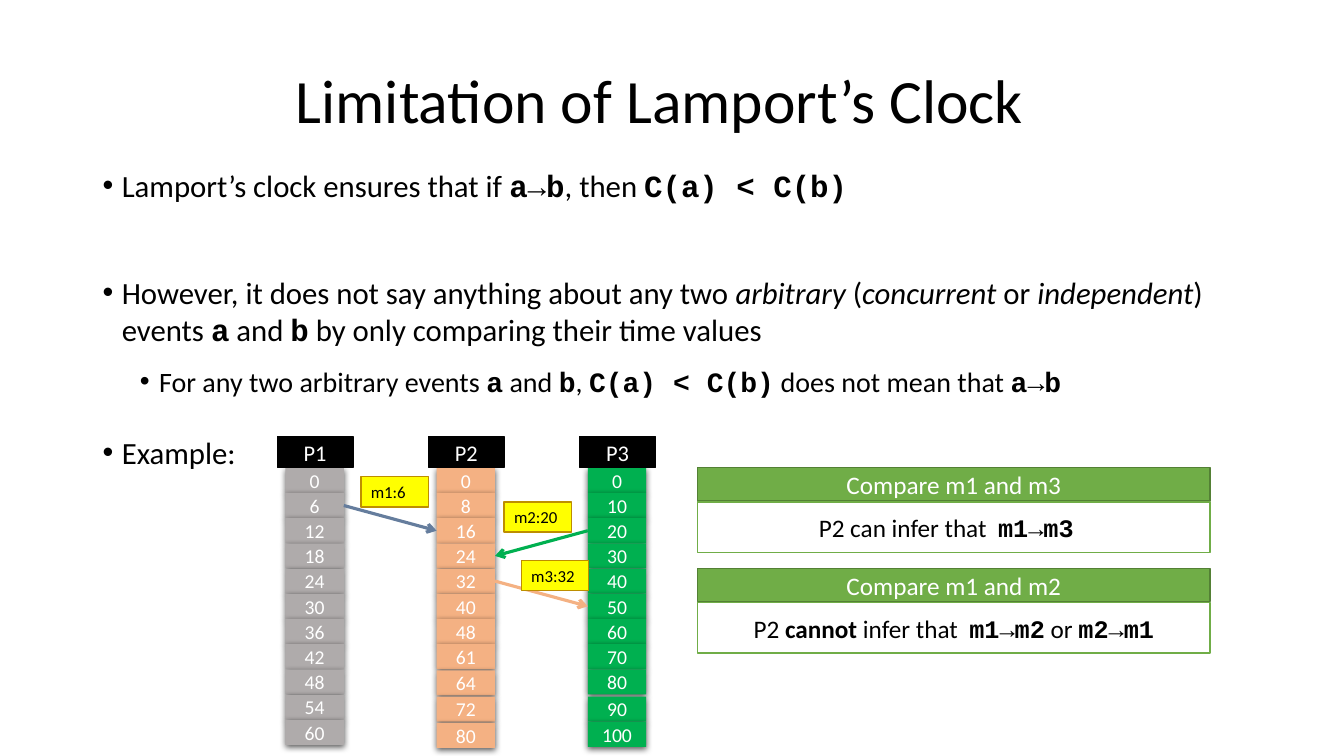
from dataclasses import dataclass, field

from lxml import etree
from pptx import Presentation, util as u
from pptx.dml.color import RGBColor
from pptx.enum import shapes, text
from pptx.oxml.ns import qn

COLORS = {
    "black": "000000", "white": "FFFFFF", "grey": "AFABAB", "orange": "F4B183",
    "green": "00B050", "blue": "657D9D", "yellow": "FFFF00", "gold": "BD8E00",
    "leaf": "70AD47", "moss": "538035",
}
CENTER, LEFT = text.PP_ALIGN.CENTER, text.PP_ALIGN.LEFT
MIDDLE, TOP = text.MSO_ANCHOR.MIDDLE, text.MSO_ANCHOR.TOP
ROWS, ROW_H, CELL_W, CELLS_TOP = 11, 0.25, 0.58, 4.64
FIRST_X, PITCH = 2.83, 1.5


@dataclass
class Process:
    name: str
    step: int
    color: str
    corrected: dict[int, int] = field(default_factory=dict)
    slips: dict[int, float] = field(default_factory=dict)


@dataclass
class Message:
    label: str
    color: str
    source: int
    target: int
    row: int
    label_at: tuple[float, float]


@dataclass
class Bullet:
    words: str
    size: int = 22
    indent: float = 0.19
    before: float = 6


@dataclass
class Comparison:
    heading: str
    finding: str
    top: float


PROCESSES = [
    Process("P1", 6, "grey"),
    Process("P2", 8, "orange", {7: 61}, {8: 0.01, 9: 0.02, 10: 0.03}),
    Process("P3", 10, "green", {}, {9: 0.02, 10: 0.02}),
]
MESSAGES = [
    Message("m1:6", "blue", 0, 1, 1, (3.58, 4.73)),
    Message("m2:20", "green", 2, 1, 2, (5, 4.98)),
    Message("m3:32", "orange", 1, 2, 4, (5.17, 5.56)),
]
BULLETS = [
    Bullet("Lamport’s clock ensures that if |`a→b|, then |`C(a) < C(b)"),
    Bullet("However, it does not say anything about any two |_arbitrary| (|_concurrent"
           "| or |_independent|) events |`a| and |`b| by only comparing their time values",
           before=44.4),
    Bullet("For any two arbitrary events |`a| and |`b|, |`C(a) < C(b)"
           "| does not mean that |`a→b", 20, 0.56),
    Bullet("Example:", before=19.2),
]
COMPARISONS = [
    Comparison("Compare m1 and m3", "P2 can infer that  |`m1→m3 ", 4.64),
    Comparison("Compare m1 and m2",
               "P2 |*cannot| infer that  |`m1→m2| or |`m2→m1", 5.64),
]


def rgb(name: str) -> RGBColor:
    return RGBColor.from_string(COLORS[name])


def write(p, words: str, *, size: float, color: str = "black", align=LEFT) -> None:
    p.alignment = align
    for part in words.split("|"):
        mark = part[0] if part[0] in "`*_" else ""
        r = p.add_run()
        r.text = part[len(mark):]
        r.font.name = "Courier New" if mark == "`" else "Calibri"
        r.font.size = u.Pt(size)
        r.font.bold = mark in ("`", "*")
        r.font.italic = mark == "_"
        r.font.color.rgb = rgb(color)


def text_box(s, x: float, y: float, w: float, h: float, anchor=TOP):
    tf = s.shapes.add_textbox(u.Inches(x), u.Inches(y), u.Inches(w), u.Inches(h)).text_frame
    tf.word_wrap = True
    tf.vertical_anchor = anchor
    return tf


def add_shadow(sp) -> None:
    effects = sp._element.spPr.find(qn("a:effectLst"))
    shadow = etree.SubElement(effects, qn("a:outerShdw"), blurRad=str(u.Pt(4.5)),
                              dist=str(u.Pt(1.5)), dir="5400000", rotWithShape="0")
    black = etree.SubElement(shadow, qn("a:srgbClr"), val=COLORS["black"])
    etree.SubElement(black, qn("a:alpha"), val="63000")


def box(s, x: float, y: float, w: float, h: float, words: str, *, fill: str,
        line: str = "", anchor=MIDDLE, **fmt):
    sp = s.shapes.add_shape(shapes.MSO_SHAPE.RECTANGLE, u.Inches(x), u.Inches(y),
                            u.Inches(w), u.Inches(h))
    sp.shadow.inherit = False
    sp.fill.solid()
    sp.fill.fore_color.rgb = rgb(fill)
    if line:
        sp.line.color.rgb = rgb(line)
        sp.line.width = u.Pt(1)
    else:
        sp.line.fill.background()
    sp.text_frame.vertical_anchor = anchor
    write(sp.text_frame.paragraphs[0], words, **fmt)
    return sp


def add_bullet(p, bullet: Bullet) -> None:
    p.space_before, p.space_after = u.Pt(bullet.before), u.Pt(6)
    pPr = p._p.get_or_add_pPr()
    pPr.set("marL", str(u.Inches(bullet.indent)))
    pPr.set("indent", str(u.Inches(-0.19)))
    etree.SubElement(pPr, qn("a:buFont"), typeface="Arial")
    etree.SubElement(pPr, qn("a:buChar"), char="•")
    write(p, bullet.words, size=bullet.size)


def add_clock(s, column: int, process: Process) -> None:
    x = FIRST_X + column * PITCH
    for row in range(ROWS):
        time = process.corrected.get(row, row * process.step)
        y = CELLS_TOP + row * ROW_H + process.slips.get(row, 0)
        add_shadow(box(s, x, y, CELL_W, ROW_H, str(time), fill=process.color,
                       size=14, color="white", align=CENTER))
    box(s, x - 0.08, 4.33, 0.75, 0.31, process.name, fill="black", line="black",
        size=16, color="white", align=CENTER)


def add_arrow(s, m: Message) -> None:
    rightward = m.target > m.source
    x1 = FIRST_X + m.source * PITCH + (CELL_W if rightward else 0)
    x2 = FIRST_X + m.target * PITCH + (0 if rightward else CELL_W)
    y = CELLS_TOP + (m.row + 0.5) * ROW_H
    sp = s.shapes.add_connector(shapes.MSO_CONNECTOR.STRAIGHT, u.Inches(x1), u.Inches(y),
                                u.Inches(x2), u.Inches(y + ROW_H))
    sp.line.color.rgb = rgb(m.color)
    sp.line.width = u.Pt(2.25)
    spPr = sp._element.spPr
    etree.SubElement(spPr.find(qn("a:ln")), qn("a:tailEnd"), type="arrow")
    etree.SubElement(spPr, qn("a:effectLst"))


def add_comparison(s, c: Comparison) -> None:
    box(s, 6.92, c.top, 5.08, 0.33, c.heading, fill="leaf", line="moss",
        size=18, color="white", align=CENTER)
    box(s, 6.92, c.top + 0.34, 5.08, 0.5, c.finding, fill="white", line="leaf",
        size=18, align=CENTER)


prs = Presentation()
prs.slide_width, prs.slide_height = u.Inches(13.33), u.Inches(7.5)
s = prs.slides.add_slide(prs.slide_layouts[6])

p = text_box(s, 1.92, 0.3, 9.25, 1.45, MIDDLE).paragraphs[0]
p.line_spacing = 0.9
write(p, "Limitation of Lamport’s Clock", size=44, align=CENTER)

tf = text_box(s, 0.92, 1.6, 11.33, 4.95)
for i, bullet in enumerate(BULLETS):
    add_bullet(tf.add_paragraph() if i else tf.paragraphs[0], bullet)

for column, process in enumerate(PROCESSES):
    add_clock(s, column, process)
for message in MESSAGES:
    add_arrow(s, message)
for message in MESSAGES:
    box(s, *message.label_at, 0.67, 0.3, message.label, fill="yellow", line="gold",
        anchor=TOP, size=12)
for comparison in COMPARISONS:
    add_comparison(s, comparison)

prs.save("out.pptx")
